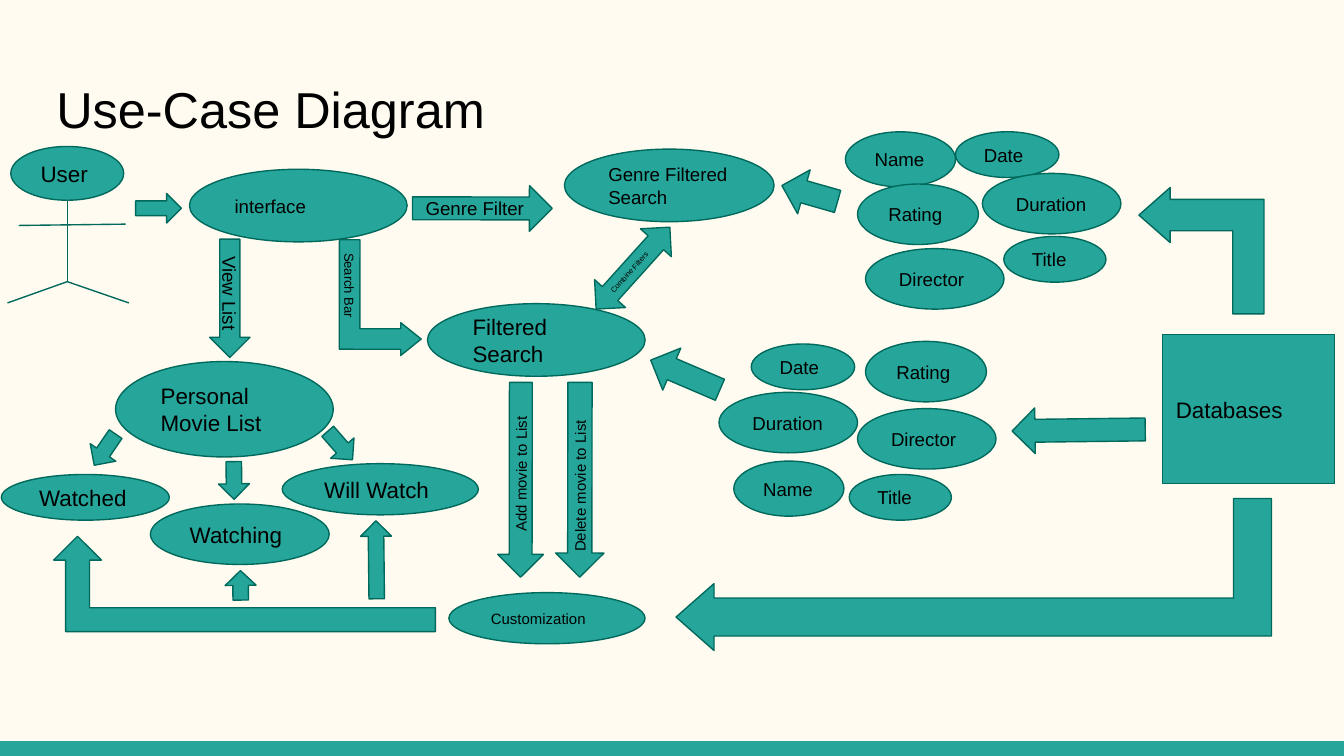
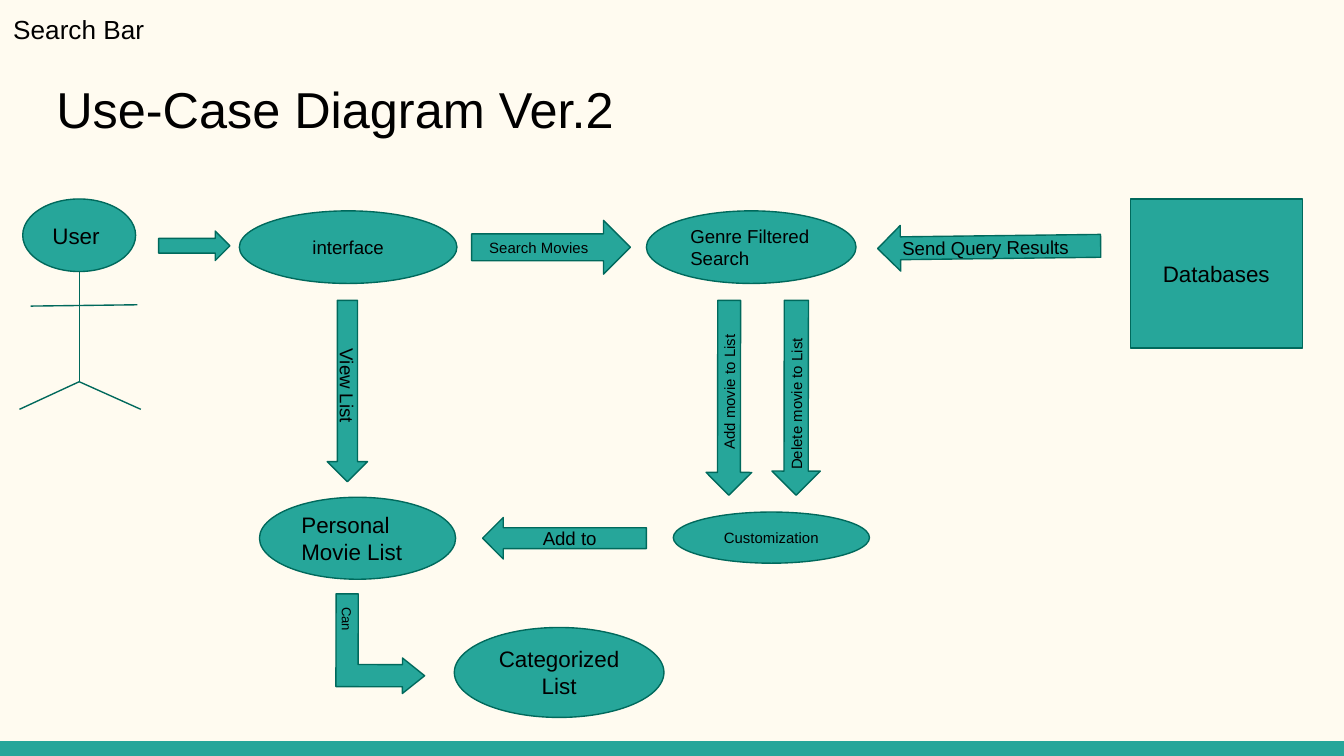
from dataclasses import dataclass

from pptx import Presentation
from pptx.dml.color import RGBColor
from pptx.enum.shapes import MSO_CONNECTOR, MSO_SHAPE
from pptx.enum.text import MSO_ANCHOR, MSO_AUTO_SIZE, PP_ALIGN
from pptx.oxml.xmlchemy import OxmlElement
from pptx.util import Pt

OVAL = MSO_SHAPE.OVAL
RECT = MSO_SHAPE.RECTANGLE
RIGHT = MSO_SHAPE.RIGHT_ARROW
LEFT = MSO_SHAPE.LEFT_ARROW
BOTH = MSO_SHAPE.LEFT_RIGHT_ARROW
BENT = MSO_SHAPE.BENT_UP_ARROW
STRAIGHT = MSO_CONNECTOR.STRAIGHT
ALIGN_LEFT = PP_ALIGN.LEFT
CENTER = PP_ALIGN.CENTER
TOP = MSO_ANCHOR.TOP
MIDDLE = MSO_ANCHOR.MIDDLE
BOTTOM = MSO_ANCHOR.BOTTOM
FIXED = MSO_AUTO_SIZE.NONE
GROW = MSO_AUTO_SIZE.SHAPE_TO_FIT_TEXT


@dataclass(frozen=True)
class Theme:
    paper: RGBColor = RGBColor(0xFF, 0xFB, 0xF0)
    teal: RGBColor = RGBColor(0x26, 0xA6, 0x9A)
    outline: RGBColor = RGBColor(0x00, 0x69, 0x5C)
    ink: RGBColor = RGBColor(0, 0, 0)
    font: str = "Arial"
    title: float = 27
    note: float = 14
    node: float = 12
    label: float = 10
    small: float = 8
    tiny: float = 7
    micro: float = 4
    line: float = 0.75
    inset: float = 7.2


T = Theme()
WIDTH, HEIGHT = 720, 405
BAND_H = 7.9
NODE = (116.6, 38.9)
GENRE = (112.3, 38.9)
CUSTOM = (105.1, 27.4)
DATABASE = (92.2, 79.9)
STUB = (20.2, 16.6)
FACET_ARROW_H = 24.5
FACETS = {
    "Name": (59, 29.5),
    "Rating": (64.8, 32.4),
    "Date": (55.4, 24.5),
    "Duration": (74.2, 32.4),
    "Director": (74.2, 32.4),
    "Title": (54.7, 24.5),
}
GENRE_FACETS = {
    "Name": (34.9, 0),
    "Rating": (41.4, 28),
    "Date": (93.9, 0),
    "Duration": (108.3, 22.3),
    "Director": (45.7, 62.6),
    "Title": (119.8, 56.1),
}
SEARCH_FACETS = {
    "Rating": (116.7, 0),
    "Date": (55.5, 1.4),
    "Duration": (38.2, 27.3),
    "Name": (46.1, 64.1),
    "Title": (108, 71.3),
    "Director": (112.4, 36),
}


def apply(target, values):
    for name, value in values.items():
        setattr(target, name, value)


def write(sp, text, size, align=ALIGN_LEFT, anchor=MIDDLE, fit=FIXED, indent=0):
    tf = sp.text_frame
    inset = Pt(T.inset)
    apply(tf, {
        "word_wrap": True, "auto_size": fit, "vertical_anchor": anchor,
        "margin_left": Pt(T.inset + indent), "margin_right": inset,
        "margin_top": inset, "margin_bottom": inset,
    })
    p = tf.paragraphs[0]
    p.alignment = align
    r = p.add_run()
    r.text = text
    apply(r.font, {"name": T.font, "size": Pt(size)})
    r.font.color.rgb = T.ink


def block(s, kind, box, text="", size=T.label, rot=0, flip=False, adj=(), **layout):
    sp = s.shapes.add_shape(kind, *map(Pt, box))
    sp.shadow.inherit = False
    sp.rotation = rot
    sp.fill.solid()
    sp.fill.fore_color.rgb = T.teal
    sp.line.color.rgb = T.outline
    sp.line.width = Pt(T.line)
    for i, value in enumerate(adj):
        sp.adjustments[i] = value
    if flip:
        sp._element.spPr.xfrm.set("flipH", "1")
    if text:
        write(sp, text, size, **layout)
    return sp


def place(s, origin, rows):
    x, y = origin
    for kind, (left, top, w, h), text, options in rows:
        block(s, kind, (x + left, y + top, w, h), text, **options)


def stroke(s, start, end):
    c = s.shapes.add_connector(STRAIGHT, *map(Pt, (*start, *end)))
    c.line.color.rgb = T.outline
    c.line.width = Pt(T.line)
    c._element.spPr.append(OxmlElement("a:effectLst"))


def user_figure(s, box, shoulder, hip, foot):
    x, y, w, h = box
    block(s, OVAL, box, "User", T.node)
    cx, neck = x + w / 2, y + h
    stroke(s, (cx, neck), (cx, neck + hip))
    stroke(s, (cx - 26, neck + shoulder), (cx + 31.2, neck + shoulder - 0.7))
    for reach in (-32, 33):
        stroke(s, (cx, neck + hip), (cx + reach, neck + foot))


def edit_arrows(s, origin, gap):
    turn = {"rot": 270.1, "flip": True, "size": T.small}
    place(s, origin, [
        (RIGHT, (0, 0, 104.4, 24.5), "Add movie to List", {**turn, "align": CENTER}),
        (RIGHT, (gap, -0.7, 104.4, 25.9), "Delete movie to List", turn),
    ])


def facet_cloud(s, origin, spots, arrow, rot):
    rows = [(RIGHT, arrow, "", {"rot": rot})]
    rows += [(OVAL, (*spot, *FACETS[name]), name, {}) for name, spot in spots.items()]
    place(s, origin, rows)


def movie_lists(s, origin):
    node = {"size": T.node}
    place(s, origin, [
        (RIGHT, (91.4, 0, 63.4, 21.6), "View List", {"rot": 90, "align": CENTER}),
        (OVAL, (61.9, 44.7, 116.6, 51.1), "Personal Movie List", node),
        (OVAL, (0.7, 105.2, 90, 24.5), "Watched", node),
        (OVAL, (80.6, 121, 95.8, 32.4), "Watching", node),
        (OVAL, (151.2, 99.4, *CUSTOM), "Will Watch", node),
        (RIGHT, (115.2, 100.1, *STUB), "", {"rot": 89.3}),
        (RIGHT, (46.1, 83.6, *STUB), "", {"rot": 124.4}),
        (RIGHT, (172.1, 81.4, *STUB), "", {"rot": 48.9}),
        (BENT, (28.8, 138.3, 204.5, 51.1), "", {"flip": True, "adj": (0.25, 0.25, 0.25)}),
        (RIGHT, (180.7, 142.6, 41.8, 16.6), "", {"rot": 269.4}),
        (RIGHT, (121, 156.3, 15.8, 16.6), "", {"rot": 269.3}),
    ])


def search_flow(s, origin):
    place(s, origin, [
        (RIGHT, (-28.8, 23.8, 24.5, 15.8), "", {}),
        (OVAL, (0, 10.8, *NODE), "interface", {}),
        (RIGHT, (119.5, 19.5, 74.9, 24.5), "Genre Filter", {"rot": 0.1}),
        (OVAL, (200.9, 0, *GENRE), "Genre Filtered Search", {}),
        (OVAL, (127.5, 82.8, *NODE), "Filtered Search", {"size": T.node}),
        (BOTH, (208.1, 52.6, 59, 22.3), "Combine Filters", {"rot": 312, "size": T.micro}),
        (BENT, (71.3, 57.6, 61.9, 43.9), "Search Bar",
         {"rot": 90.1, "size": T.tiny, "adj": (0.25, 0.2, 0.25)}),
        (OVAL, (139, 237.6, *CUSTOM), "Customization", {"size": T.small}),
    ])


def database_links(s, origin):
    bend = {"rot": 270, "adj": (0.25, 0.22, 0.25)}
    place(s, origin, [
        (RECT, (141.8, 79.3, *DATABASE), "Databases", {"size": T.node}),
        (RIGHT, (61.2, 118.2, 71.3, 24.5), "", {"rot": 179.3}),
        (BENT, (0, 48.3, 81.4, 319), "", {**bend, "flip": True}),
        (BENT, (128.8, 0.8, 67.7, 67), "", bend),
    ])


def query_flow(s, origin):
    place(s, origin, [
        (RIGHT, (0, 17.2, 38.2, 15.8), "", {}),
        (OVAL, (43.2, 6.4, *NODE), "interface", {"align": CENTER}),
        (LEFT, (167.7, 11.5, 85, 28.8), "Search Movies",
         {"flip": True, "size": T.small, "indent": 2.2}),
        (OVAL, (261.3, 6.4, *GENRE), "Genre Filtered Search", {}),
        (RIGHT, (385.2, 13.6, 119.5, 24.5), "Send Query Results", {"rot": 359.3, "flip": True}),
        (RECT, (520.5, 0, *DATABASE), "Databases", {"size": T.node, "align": CENTER}),
    ])


def list_flow(s, origin):
    place(s, origin, [
        (RIGHT, (0.5, 0.7, 97.2, 21.6), "View List", {"rot": 90, "align": CENTER}),
        (OVAL, (2, 68.4, 105.1, 43.9), "Personal Movie List", {"size": T.node}),
        (LEFT, (121.5, 79.2, 87.8, 22.3), "Add to", {"align": CENTER}),
        (OVAL, (223.7, 76.3, *CUSTOM), "Customization", {"size": T.small, "align": CENTER}),
        (BENT, (40.1, 123.1, 53.3, 47.5), "Can",
         {"rot": 90.1, "size": T.tiny, "adj": (0.25, 0.2, 0.25)}),
        (OVAL, (106.4, 138.2, 112.3, 48.2), "Categorized List", {"size": T.node, "align": CENTER}),
    ])


def style_master(prs, s):
    master = prs.slide_master
    master.background.fill.solid()
    master.background.fill.fore_color.rgb = T.paper
    band = block(s, RECT, (0, HEIGHT - BAND_H, WIDTH, BAND_H))
    band.line.fill.background()
    master.shapes._spTree.insert(2, band._element)


def titled_slide(prs, text):
    s = prs.slides.add_slide(prs.slide_layouts[5])
    sp = s.shapes.title
    apply(sp, {"left": Pt(23), "top": Pt(33.1), "width": Pt(671), "height": Pt(48.2)})
    write(sp, text, T.title, anchor=BOTTOM)
    return s


def first_diagram(prs):
    s = titled_slide(prs, "Use-Case Diagram")
    style_master(prs, s)
    user_figure(s, (5.8, 78.5, 60.5, 28.8), 13.5, 43.6, 55)
    movie_lists(s, (0, 149))
    search_flow(s, (101.5, 79.9))
    edit_arrows(s, (226.8, 244.8), 31.7)
    facet_cloud(s, (418, 70.6), GENRE_FACETS, (0.3, 20.8, 31, FACET_ARROW_H), 195.9)
    facet_cloud(s, (347, 182.9), SEARCH_FACETS, (0, 5.7, 40.3, FACET_ARROW_H), 203.2)
    database_links(s, (481, 100))


def second_diagram(prs):
    s = titled_slide(prs, "Use-Case Diagram Ver.2")
    user_figure(s, (12.2, 106.6, 60.5, 38.9), 18.5, 59, 73.8)
    query_flow(s, (85, 106.6))
    edit_arrows(s, (338.4, 200.9), 36)
    list_flow(s, (137, 198))
    note = s.shapes.add_textbox(Pt(0), Pt(0), Pt(236.2), Pt(31.7))
    write(note, "Search Bar", T.note, anchor=TOP, fit=GROW)


def main():
    prs = Presentation()
    prs.slide_width, prs.slide_height = Pt(WIDTH), Pt(HEIGHT)
    first_diagram(prs)
    second_diagram(prs)
    prs.save("out.pptx")


if __name__ == "__main__":
    main()
